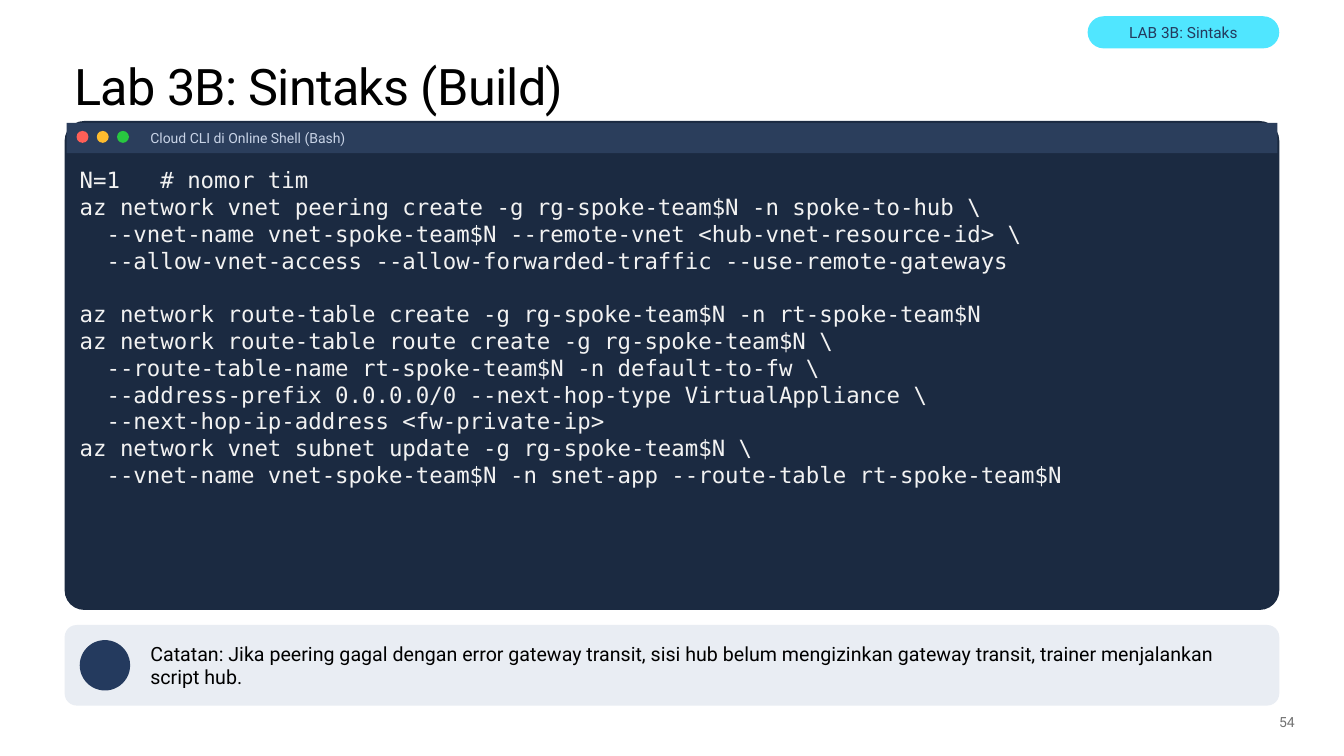
"""Builds the Lab 3B syntax slide with its terminal window and note."""
from dataclasses import dataclass

from pptx import Presentation
from pptx.dml.color import RGBColor
from pptx.enum.shapes import MSO_SHAPE
from pptx.enum.text import MSO_ANCHOR, PP_ALIGN
from pptx.util import Cm, Pt

RECT, ROUND, OVAL = MSO_SHAPE.RECTANGLE, MSO_SHAPE.ROUNDED_RECTANGLE, MSO_SHAPE.OVAL
TOP, MIDDLE = MSO_ANCHOR.TOP, MSO_ANCHOR.MIDDLE
LEFT, CENTER, RIGHT = PP_ALIGN.LEFT, PP_ALIGN.CENTER, PP_ALIGN.RIGHT


@dataclass(frozen=True)
class Theme:
    """Fonts, colours and type sizes of the slide."""
    sans: str = "Roboto"
    mono: str = "DejaVu Sans Mono"
    ink: str = "000000"
    navy: str = "243A5E"
    tag: str = "50E6FF"
    window: str = "1B2A41"
    bar: str = "2B3E5C"
    bar_text: str = "C8D3E6"
    code_text: str = "F2F2F2"
    note: str = "E9EDF3"
    muted: str = "737373"
    lights: tuple = ("FF5F57", "FEBC2E", "28C840")
    title_pt: int = 36
    code_pt: int = 16
    note_pt: int = 14
    tag_pt: int = 11
    small_pt: int = 10


CODE_BLOCKS = [
    r"""N=1   # nomor tim
az network vnet peering create -g rg-spoke-team$N -n spoke-to-hub \
  --vnet-name vnet-spoke-team$N --remote-vnet <hub-vnet-resource-id> \
  --allow-vnet-access --allow-forwarded-traffic --use-remote-gateways""",
    r"""az network route-table create -g rg-spoke-team$N -n rt-spoke-team$N
az network route-table route create -g rg-spoke-team$N \
  --route-table-name rt-spoke-team$N -n default-to-fw \
  --address-prefix 0.0.0.0/0 --next-hop-type VirtualAppliance \
  --next-hop-ip-address <fw-private-ip>
az network vnet subnet update -g rg-spoke-team$N \
  --vnet-name vnet-spoke-team$N -n snet-app --route-table rt-spoke-team$N""",
]
NOTE = ("Catatan: Jika peering gagal dengan error gateway transit, sisi hub belum "
        "mengizinkan gateway transit, trainer menjalankan script hub.")


class SlideBuilder:
    """Draws styled elements on the current slide, with lengths in centimetres."""

    def __init__(self, slide, theme):
        """Keep the slide and its theme."""
        self.s, self.t = slide, theme

    def shape(self, kind, box, fill, radius=None):
        """Add a flat filled shape without outline."""
        sp = self.s.shapes.add_shape(kind, *map(Cm, box))
        sp.shadow.inherit = False
        sp.fill.solid()
        sp.fill.fore_color.rgb = RGBColor.from_string(fill)
        sp.line.fill.background()
        if radius is not None:
            sp.adjustments[0] = radius
        return sp

    def frame(self, sp, anchor, inset):
        """Set wrapping, anchor and insets of a shape's text frame."""
        tf = sp.text_frame
        tf.word_wrap = True
        tf.vertical_anchor = anchor
        tf.margin_left = tf.margin_right = Cm(inset[0])
        tf.margin_top = tf.margin_bottom = Cm(inset[1])
        return tf

    def run(self, p, text, size, color, font=None, spacing=None):
        """Add one styled run to a paragraph."""
        r = p.add_run()
        r.text = text
        r.font.name = font or self.t.sans
        r.font.size = Pt(size)
        r.font.color.rgb = RGBColor.from_string(color)
        if spacing is not None:
            r.font._element.set("spc", str(round(spacing * 100)))

    def label(self, sp, text, size, color, anchor=MIDDLE, align=LEFT,
              inset=(0.13, 0.08), spacing=None):
        """Write a single paragraph into a shape."""
        p = self.frame(sp, anchor, inset).paragraphs[0]
        p.alignment = align
        self.run(p, text, size, color, spacing=spacing)

    def text(self, box, *args, **style):
        """Add a text box holding a single paragraph."""
        self.label(self.s.shapes.add_textbox(*map(Cm, box)), *args, **style)

    def code(self, box, blocks):
        """Add code lines, with a line-high gap between blocks."""
        t = self.t
        tf = self.frame(self.s.shapes.add_textbox(*map(Cm, box)), TOP, (0.08, 0.13))
        p = None
        for block in blocks:
            for i, line in enumerate(block.splitlines()):
                gap = p is not None and i == 0
                p = tf.paragraphs[0] if p is None else tf.add_paragraph()
                if gap:
                    p.space_before = Pt(18.8)
                self.run(p, line, t.code_pt, t.code_text, t.mono)


def main():
    """Build and save the slide."""
    prs = Presentation()
    prs.slide_width, prs.slide_height = Cm(33.87), Cm(19.05)
    t = Theme()
    b = SlideBuilder(prs.slides.add_slide(prs.slide_layouts[6]), t)
    left, width, text_left = 1.63, 30.61, 3.66

    b.text((left, 1.27, width, 1.55), "Lab 3B: Sintaks (Build)", t.title_pt, t.ink,
           anchor=TOP, inset=(0.25, 0.13), spacing=-0.5)
    b.text((30.86, 17.91, 1.9, 0.76), "54", t.small_pt, t.muted, anchor=TOP, align=RIGHT)
    tag = b.shape(ROUND, (27.41, 0.41, 4.83, 0.81), t.tag, 0.5)
    b.label(tag, "LAB 3B: Sintaks", t.tag_pt, t.navy, align=CENTER, inset=(0.25, 0))

    b.shape(ROUND, (left, 3.05, width, 12.32), t.window, 0.04)
    b.shape(RECT, (left + 0.05, 3.1, width - 0.1, 0.76), t.bar)
    for i, color in enumerate(t.lights):
        b.shape(OVAL, (1.93 + 0.51 * i, 3.3, 0.3, 0.3), color)
    b.text((text_left, 3.1, 28.07, 0.76), "Cloud CLI di Online Shell (Bash)",
           t.small_pt, t.bar_text)
    b.code((1.93, 4.06, 30, 11.1), CODE_BLOCKS)

    b.shape(ROUND, (left, 15.75, width, 2.03), t.note, 0.15)
    b.shape(OVAL, (2.01, 16.13, 1.27, 1.27), t.navy)
    b.text((text_left, 15.75, 28.19, 2.03), NOTE, t.note_pt, t.ink)
    prs.save("out.pptx")


if __name__ == "__main__":
    main()
